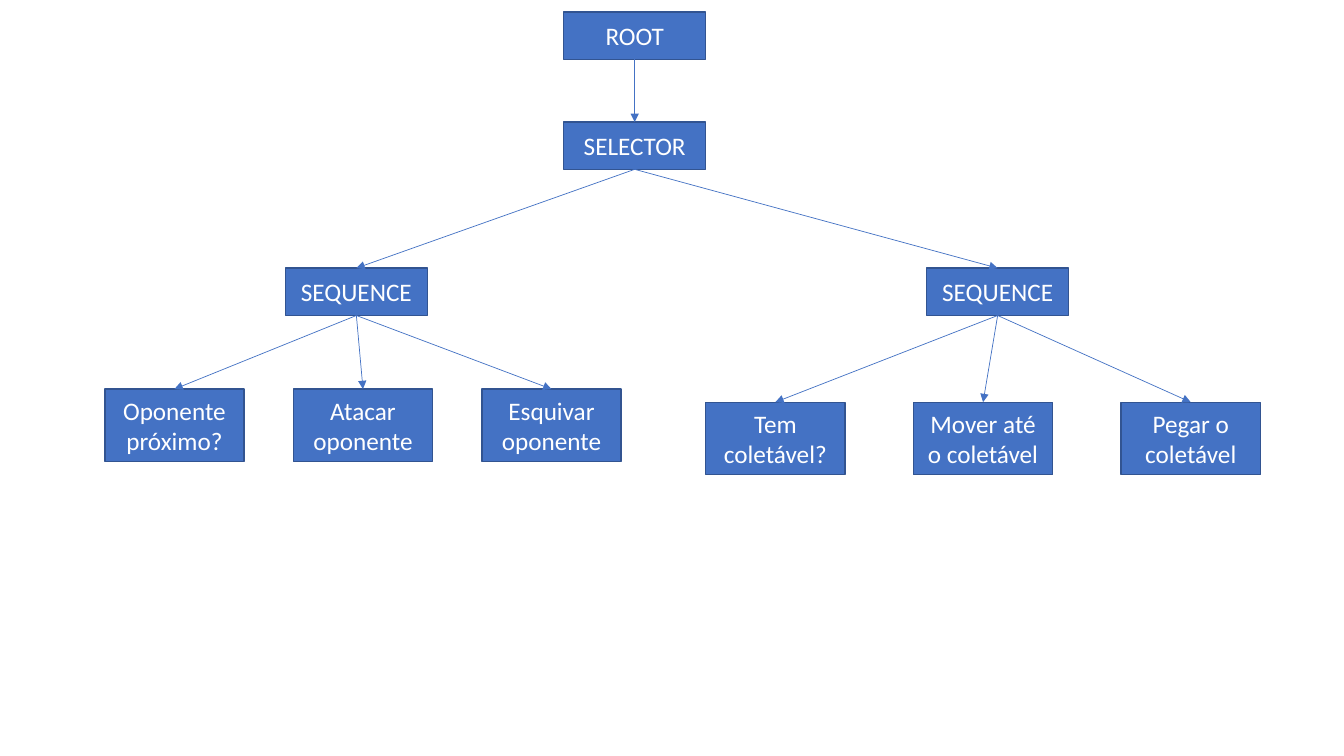
from lxml import etree
from pptx import Presentation
from pptx import util as u
from pptx.dml.color import RGBColor
from pptx.enum import shapes, text
from pptx.oxml import ns

COLORS = {"fill": "4472C4", "edge": "325491", "line": "4472C4", "text": "FFFFFF"}
NODE = (1.41, 0.47)
LEAF = (1.38, 0.72)
TOP, BOTTOM = 0, 2  # connection sites of a rectangle


class Tree:
    def __init__(self, slide, font="Calibri", size=18):
        self.slide, self.font, self.size = slide, font, size

    def color(self, key):
        return RGBColor.from_string(COLORS[key])

    def box(self, label, left, top, size):
        box = self.slide.shapes.add_shape(
            shapes.MSO_SHAPE.RECTANGLE, *map(u.Inches, (left, top, *size)))
        box.shadow.inherit = False
        box.fill.solid()
        box.fill.fore_color.rgb = self.color("fill")
        box.line.color.rgb = self.color("edge")
        box.line.width = u.Pt(1)
        frame = box.text_frame
        frame.word_wrap = True
        frame.vertical_anchor = text.MSO_ANCHOR.MIDDLE
        para = frame.paragraphs[0]
        para.text = label
        para.alignment = text.PP_ALIGN.CENTER
        para.font.name = self.font
        para.font.size = u.Pt(self.size)
        para.font.color.rgb = self.color("text")
        return box

    def arrow(self, parent, child):
        line = self.slide.shapes.add_connector(
            shapes.MSO_CONNECTOR.STRAIGHT, 0, 0, 0, 0)
        line.begin_connect(parent, BOTTOM)
        line.end_connect(child, TOP)
        line.line.color.rgb = self.color("line")
        line.line.width = u.Pt(0.5)
        etree.SubElement(line.line._get_or_add_ln(), ns.qn("a:tailEnd"), type="triangle")
        etree.SubElement(line._element.spPr, ns.qn("a:effectLst"))

    def branch(self, parent, left, leaves, start, step, top):
        node = self.box("SEQUENCE", left, 2.66, NODE)
        self.arrow(parent, node)
        for i, label in enumerate(leaves):
            leaf = self.box(label, start + i * step, top, LEAF)
            self.arrow(node, leaf)


deck = Presentation()
deck.slide_width, deck.slide_height = u.Inches(13.33), u.Inches(7.5)
tree = Tree(deck.slides.add_slide(deck.slide_layouts[6]))

# Root and selector
root = tree.box("ROOT", 5.59, 0.12, NODE)
pick = tree.box("SELECTOR", 5.59, 1.21, NODE)
tree.arrow(root, pick)

# Fight branch, then collect branch
tree.branch(pick, 2.83, ["Oponente próximo?", "Atacar oponente", "Esquivar oponente"],
            1.04, 1.87, 3.86)
tree.branch(pick, 9.19, ["Tem coletável?", "Mover até o coletável", "Pegar o coletável"],
            7, 2.06, 3.99)

deck.save("out.pptx")
